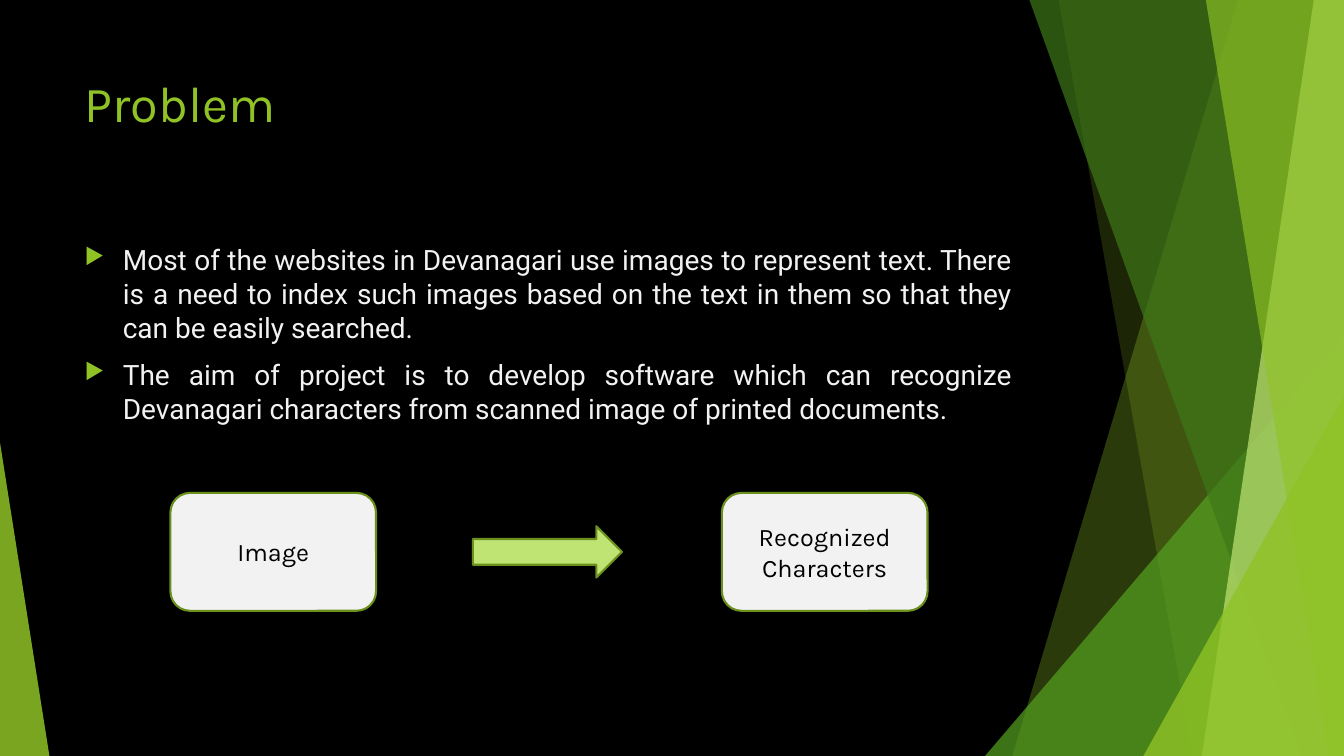
"""Builds the "Problem" slide: two aims and an image-to-characters flow."""
from dataclasses import dataclass

from lxml.etree import SubElement
from pptx import Presentation
from pptx.dml.color import RGBColor
from pptx.enum.shapes import MSO_SHAPE as Preset
from pptx.enum.text import MSO_ANCHOR as Anchor, MSO_AUTO_SIZE as AutoSize, PP_ALIGN as Align
from pptx.oxml.ns import qn
from pptx.shapes.autoshape import Shape
from pptx.slide import Slide
from pptx.text.text import TextFrame, _Paragraph as Paragraph
from pptx.util import Inches, Pt


@dataclass(frozen=True)
class Theme:
    background: str = "000000"
    accent: str = "90C226"
    leaf: str = "54A021"
    forest: str = "3F7819"
    lime: str = "C0E474"
    outline: str = "6B901C"
    light: str = "F2F2F2"
    dark: str = "000000"
    heading_font: str = "Karla"
    body_font: str = "Roboto"
    title_size: int = 36
    body_size: int = 20
    box_size: int = 18


@dataclass(frozen=True)
class Band:
    top_x: float
    bottom_x: float
    color: str
    opacity: int


@dataclass(frozen=True)
class Wedge:
    left: float
    top: float
    width: float
    apex: float
    color: str
    opacity: int


@dataclass(frozen=True)
class FlowStep:
    preset: Preset
    left: float
    top: float
    width: float
    height: float
    color: str
    label: str = ""


THEME = Theme()
SLIDE_WIDTH, SLIDE_HEIGHT = 13.33, 7.5
TEXT_LEFT, TEXT_WIDTH = 0.74, 9.4

FACETS: list[Band | Wedge] = [
    Band(12.28, 10.04, THEME.accent, 30),
    Band(10.5, 11.83, THEME.accent, 20),
    Wedge(9.77, 3.33, 3.56, 1, THEME.leaf, 72),
    Band(10.21, 12.91, THEME.forest, 70),
    Band(13.03, 11.92, THEME.lime, 70),
    Band(11.96, 13.18, THEME.accent, 65),
    Wedge(11.34, 3.93, 1.99, 1, THEME.accent, 80),
    Wedge(0, 4.39, 0.49, 0, THEME.accent, 85),
]

AIMS = [
    "Most of the websites in Devanagari use images to represent text. There is a need "
    "to index such images based on the text in them so that they can be easily searched.",
    "The aim of project is to develop software which can recognize Devanagari "
    "characters from scanned image of printed documents.",
]

FLOW = [
    FlowStep(Preset.ROUNDED_RECTANGLE, 1.69, 4.89, 2.04, 1.17, THEME.light, "Image"),
    FlowStep(Preset.ROUNDED_RECTANGLE, 7.16, 4.89, 2.04, 1.17, THEME.light,
             "Recognized Characters"),
    FlowStep(Preset.RIGHT_ARROW, 4.69, 5.22, 1.48, 0.51, THEME.lime),
]


def paint(shape: Shape, color: str, opacity: int = 100) -> None:
    shape.shadow.inherit = False
    shape.fill.solid()
    shape.fill.fore_color.rgb = RGBColor.from_string(color)
    if opacity < 100:
        tint = shape.fill._xPr.find(qn("a:solidFill"))[0]
        SubElement(tint, qn("a:alpha"), val=str(opacity * 1000))


def add_words(paragraph: Paragraph, words: str, font: str, size: int, color: str) -> None:
    run = paragraph.add_run()
    run.text = words
    run.font.name = font
    run.font.size = Pt(size)
    run.font.color.rgb = RGBColor.from_string(color)


def set_frame(frame: TextFrame, anchor: Anchor) -> None:
    frame.word_wrap = True
    frame.auto_size = AutoSize.NONE
    frame.vertical_anchor = anchor


def add_bullet(paragraph: Paragraph) -> None:
    properties = paragraph._p.get_or_add_pPr()
    indent = Inches(0.38)
    properties.set("marL", str(indent))
    properties.set("indent", str(-indent))
    SubElement(SubElement(properties, qn("a:buClr")), qn("a:srgbClr"), val=THEME.accent)
    SubElement(properties, qn("a:buSzPct"), val="80000")
    SubElement(properties, qn("a:buChar"), char="▶")


def draw_facet(slide: Slide, facet: Band | Wedge) -> None:
    if isinstance(facet, Band):
        right, bottom = Inches(SLIDE_WIDTH), Inches(SLIDE_HEIGHT)
        outline = slide.shapes.build_freeform(Inches(facet.top_x), 0)
        outline.add_line_segments(
            [(right, 0), (right, bottom), (Inches(facet.bottom_x), bottom)], close=True)
        shape = outline.convert_to_shape()
    else:
        shape = slide.shapes.add_shape(
            Preset.ISOSCELES_TRIANGLE, Inches(facet.left), Inches(facet.top),
            Inches(facet.width), Inches(SLIDE_HEIGHT - facet.top))
        shape.adjustments[0] = facet.apex
    paint(shape, facet.color, facet.opacity)
    shape.line.fill.background()


def draw_title(slide: Slide) -> None:
    title = slide.shapes.title
    title.left, title.top = Inches(TEXT_LEFT), Inches(0.67)
    title.width, title.height = Inches(TEXT_WIDTH), Inches(1.44)
    set_frame(title.text_frame, Anchor.TOP)
    heading = title.text_frame.paragraphs[0]
    heading.alignment = Align.LEFT
    add_words(heading, "Problem", THEME.heading_font, THEME.title_size, THEME.accent)


def draw_aims(slide: Slide) -> None:
    frame = slide.shapes.add_textbox(
        Inches(TEXT_LEFT), Inches(2.36), Inches(TEXT_WIDTH), Inches(4.24)).text_frame
    set_frame(frame, Anchor.TOP)
    for index, aim in enumerate(AIMS):
        paragraph = frame.add_paragraph() if index else frame.paragraphs[0]
        paragraph.alignment = Align.JUSTIFY
        paragraph.space_before = Pt(10)
        add_bullet(paragraph)
        add_words(paragraph, aim, THEME.body_font, THEME.body_size, THEME.light)


def draw_step(slide: Slide, step: FlowStep) -> None:
    shape = slide.shapes.add_shape(
        step.preset, Inches(step.left), Inches(step.top),
        Inches(step.width), Inches(step.height))
    paint(shape, step.color)
    shape.line.color.rgb = RGBColor.from_string(THEME.outline)
    shape.line.width = Pt(1.5)
    if step.label:
        set_frame(shape.text_frame, Anchor.MIDDLE)
        caption = shape.text_frame.paragraphs[0]
        caption.alignment = Align.CENTER
        add_words(caption, step.label, THEME.heading_font, THEME.box_size, THEME.dark)


def main() -> None:
    deck = Presentation()
    deck.slide_width, deck.slide_height = Inches(SLIDE_WIDTH), Inches(SLIDE_HEIGHT)
    slide = deck.slides.add_slide(deck.slide_layouts[5])
    slide.background.fill.solid()
    slide.background.fill.fore_color.rgb = RGBColor.from_string(THEME.background)
    for facet in FACETS:
        draw_facet(slide, facet)
    draw_title(slide)
    draw_aims(slide)
    for step in FLOW:
        draw_step(slide, step)
    deck.save("out.pptx")


if __name__ == "__main__":
    main()
